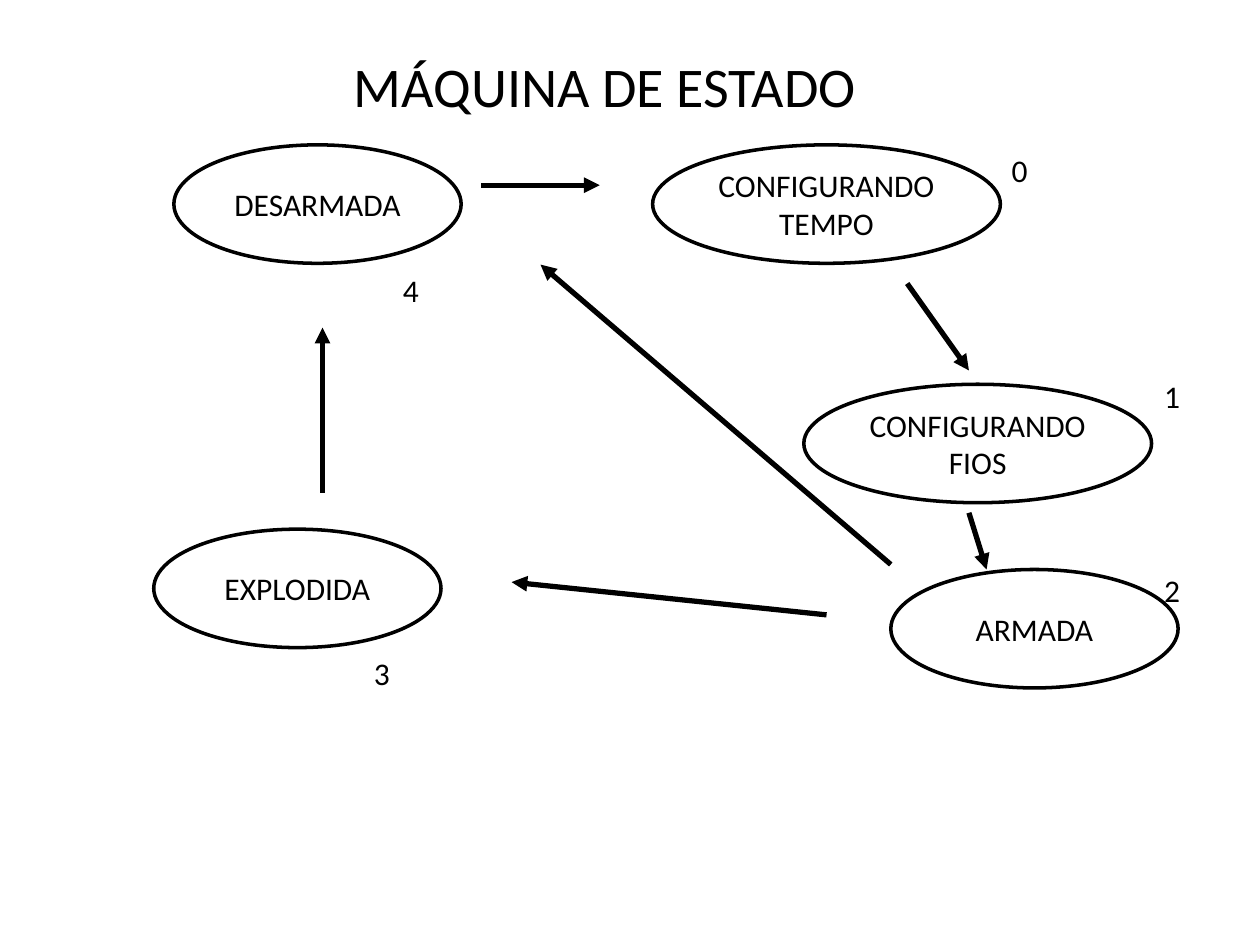
from pptx import Presentation
from pptx.dml.color import RGBColor
from pptx.enum.shapes import MSO_CONNECTOR as Connector, MSO_SHAPE as Shape
from pptx.enum.text import MSO_ANCHOR as Anchor, MSO_AUTO_SIZE as AutoSize, PP_ALIGN as Align
from pptx.oxml.ns import qn
from pptx.util import Inches, Pt
from lxml.etree import SubElement

WIDTH, HEIGHT = Inches(10), Inches(7.5)
COLUMNS, ROWS = 100, 75
BLACK = "000000"
STATE_HEIGHT = 9.4
NARROW, WIDE = 22.8, 27.6
LABEL_SIZE = (3.3, 4)

STATES = [
    ("DESARMADA", 1.8, 0.5, NARROW),
    ("CONFIGURANDO\nTEMPO", 39.8, 0.5, WIDE),
    ("CONFIGURANDO\nFIOS", 51.8, 19.5, WIDE),
    ("ARMADA", 58.7, 34.2, NARROW),
    ("EXPLODIDA", 0.2, 31, NARROW),
]
TRANSITIONS = [
    (26.2, 3.7, 35.6, 3.7),
    (60, 11.5, 64.9, 18.4),
    (64.9, 29.7, 66.3, 34.2),
    (53.6, 37.8, 28.6, 35.2),
    (13.6, 28.1, 13.6, 15),
    (58.7, 33.8, 30.9, 10),
]
LABELS = [(67.3, 0.5), (79.4, 18.4), (79.4, 33.8), (16.7, 40.4), (19, 10)]


def column(value):
    return round(WIDTH * value / COLUMNS)


def row(value):
    return round(HEIGHT * value / ROWS)


def color(target, value):
    target.rgb = RGBColor.from_string(value)


def write(shape, text, size=18, align=Align.LEFT, anchor=Anchor.TOP, wrap=False):
    frame = shape.text_frame
    frame.word_wrap = wrap
    frame.auto_size = AutoSize.NONE if wrap else AutoSize.SHAPE_TO_FIT_TEXT
    frame.vertical_anchor = anchor
    frame.text = text
    for paragraph in frame.paragraphs:
        paragraph.alignment = align
        font = paragraph.runs[0].font
        font.name, font.size = "Calibri", Pt(size)
        color(font.color, BLACK)


def add_text(slide, box, text, **format):
    left, top, width, height = box
    shape = slide.shapes.add_textbox(column(left), row(top), column(width), row(height))
    write(shape, text, **format)


def add_state(slide, box, text):
    left, top, width, height = box
    shape = slide.shapes.add_shape(Shape.OVAL, column(left), row(top), column(width), row(height))
    shape.shadow.inherit = False
    shape.fill.background()
    color(shape.line.color, BLACK)
    shape.line.width = Pt(2)
    write(shape, text, align=Align.CENTER, anchor=Anchor.MIDDLE, wrap=True)


def add_arrow(slide, start, end):
    arrow = slide.shapes.add_connector(
        Connector.STRAIGHT, column(start[0]), row(start[1]), column(end[0]), row(end[1]))
    color(arrow.line.color, BLACK)
    arrow.line.width = Pt(3)
    SubElement(arrow.line._get_or_add_ln(), qn("a:tailEnd"), type="triangle")
    SubElement(arrow._element.spPr, qn("a:effectLst"))


def add_diagram(slide, left, top):
    for name, x, y, width in STATES:
        add_state(slide, (left + x, top + y, width, STATE_HEIGHT), name)
    for x1, y1, x2, y2 in TRANSITIONS:
        add_arrow(slide, (left + x1, top + y1), (left + x2, top + y2))
    for number, (x, y) in enumerate(LABELS):
        add_text(slide, (left + x, top + y, *LABEL_SIZE), str(number))


presentation = Presentation()
presentation.slide_width, presentation.slide_height = WIDTH, HEIGHT
slide = presentation.slides.add_slide(presentation.slide_layouts[6])
add_text(slide, (27.1, 3.6, 42.3, 6.4), "MÁQUINA DE ESTADO", size=32)
add_diagram(slide, 12, 11)
presentation.save("out.pptx")
